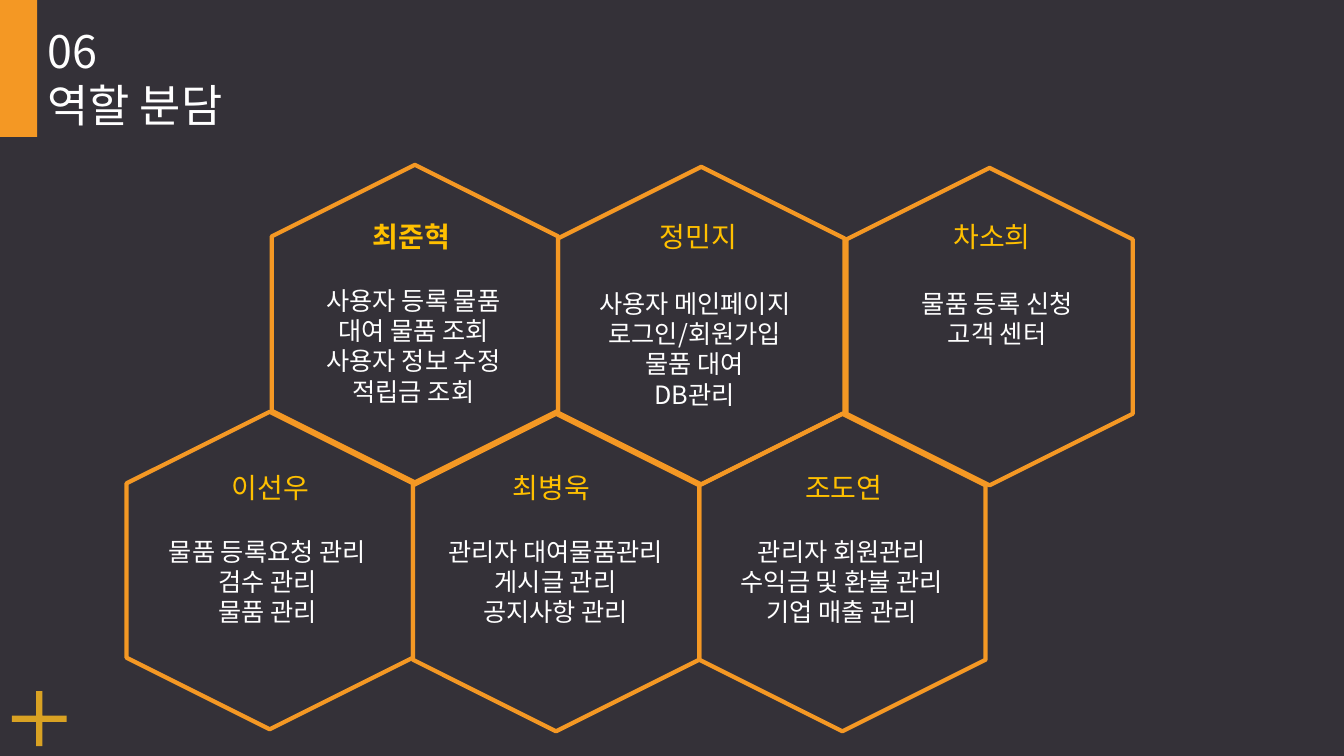
import dataclasses

import lxml.etree
import pptx
import pptx.dml.color
import pptx.enum.shapes
import pptx.enum.text
import pptx.oxml.ns
import pptx.shapes.autoshape
import pptx.slide
import pptx.util

EMU_PER_PX = 9144  # 100 px to the inch
FONT = "Noto Sans CJK KR"
COLORS = {
    "background": "343138",
    "orange": "F49824",
    "gold": "D9A223",
    "name": "FFC000",
    "white": "FFFFFF",
}
SHAPES = pptx.enum.shapes.MSO_SHAPE
ALIGN = pptx.enum.text.PP_ALIGN
LINE_HEIGHT = 1.2
HEXAGON_WIDTH, HEXAGON_HEIGHT = 315, 284
NAME_WIDTH, NAME_HEIGHT = 146, 44
TASKS_WIDTH = 262


@dataclasses.dataclass(frozen=True)
class Box:
    left: int
    top: int
    width: int
    height: int

    def emu(self) -> list[int]:
        return [px * EMU_PER_PX for px in dataclasses.astuple(self)]


@dataclasses.dataclass(frozen=True)
class Member:
    name: str
    tasks: tuple[str, ...]
    hexagon: tuple[int, int]
    name_at: tuple[int, int]
    tasks_at: tuple[int, int]
    bold: bool = False


MEMBERS = (
    Member("최준혁", ("사용자 등록 물품", "대여 물품 조회", "사용자 정보 수정", "적립금 조회"),
           (254, 179), (335, 213), (279, 278), bold=True),
    Member("정민지", ("사용자 메인페이지", "로그인/회원가입", "물품 대여", "DB관리"),
           (538, 181), (620, 213), (558, 281)),
    Member("차소희", ("물품 등록 신청", "고객 센터"),
           (824, 182), (911, 213), (858, 281)),
    Member("이선우", ("물품 등록요청 관리", "검수 관리", "물품 관리"),
           (110, 424), (195, 462), (134, 527)),
    Member("최병욱", ("관리자 대여물품관리", "게시글 관리", "공지사항 관리"),
           (394, 426), (474, 462), (420, 527)),
    Member("조도연", ("관리자 회원관리", "수익금 및 환불 관리", "기업 매출 관리"),
           (678, 426), (764, 462), (704, 527)),
)


def rgb(color: str) -> pptx.dml.color.RGBColor:
    return pptx.dml.color.RGBColor.from_string(COLORS[color])


def write_text(shape: pptx.shapes.autoshape.Shape, text: str, size: int,
               color: str, align: ALIGN, bold: bool = False) -> None:
    frame = shape.text_frame
    frame.text = text
    frame.word_wrap = True
    frame.auto_size = pptx.enum.text.MSO_AUTO_SIZE.NONE
    frame.vertical_anchor = pptx.enum.text.MSO_ANCHOR.TOP
    for paragraph in frame.paragraphs:
        paragraph.alignment = align
        paragraph.line_spacing = pptx.util.Pt(size * LINE_HEIGHT)
        for run in paragraph.runs:
            run.font.size = pptx.util.Pt(size)
            run.font.bold = bold
            run.font.color.rgb = rgb(color)
            run.font.name = FONT
            east_asian = lxml.etree.SubElement(
                run._r.get_or_add_rPr(), pptx.oxml.ns.qn("a:ea"))
            east_asian.set("typeface", FONT)


def add_text(slide: pptx.slide.Slide, box: Box, text: str, size: int,
             color: str, align: ALIGN, bold: bool = False) -> None:
    shape = slide.shapes.add_textbox(*box.emu())
    write_text(shape, text, size, color, align, bold)


def add_filled(slide: pptx.slide.Slide, kind: SHAPES, box: Box,
               color: str) -> pptx.shapes.autoshape.Shape:
    shape = slide.shapes.add_shape(kind, *box.emu())
    shape.shadow.inherit = False
    shape.fill.solid()
    shape.fill.fore_color.rgb = rgb(color)
    shape.line.fill.background()
    return shape


def add_hexagon(slide: pptx.slide.Slide, left: int, top: int) -> None:
    box = Box(left, top, HEXAGON_WIDTH, HEXAGON_HEIGHT)
    hexagon = slide.shapes.add_shape(SHAPES.HEXAGON, *box.emu())
    hexagon.rotation = 90
    hexagon.shadow.inherit = False
    hexagon.fill.background()
    hexagon.line.color.rgb = rgb("orange")
    hexagon.line.width = pptx.util.Pt(3)


def add_member(slide: pptx.slide.Slide, member: Member) -> None:
    add_hexagon(slide, *member.hexagon)
    add_text(slide, Box(*member.name_at, NAME_WIDTH, NAME_HEIGHT),
             member.name, 20, "name", ALIGN.CENTER, member.bold)
    tasks_height = 10 + 30 * len(member.tasks)
    add_text(slide, Box(*member.tasks_at, TASKS_WIDTH, tasks_height),
             "\n".join(member.tasks), 18, "white", ALIGN.CENTER)


def add_heading(slide: pptx.slide.Slide) -> None:
    add_filled(slide, SHAPES.RECTANGLE, Box(0, 0, 37, 136), "orange")
    title = slide.shapes.title
    title.left, title.top, title.width, title.height = Box(37, 72, 359, 64).emu()
    write_text(title, "역할 분담", 32, "white", ALIGN.LEFT)
    add_text(slide, Box(37, 19, 78, 64), "06", 32, "white", ALIGN.LEFT)


def main() -> None:
    presentation = pptx.Presentation()
    presentation.slide_width = 1333 * EMU_PER_PX
    presentation.slide_height = 750 * EMU_PER_PX
    title_only = presentation.slide_layouts.get_by_name("Title Only")
    slide = presentation.slides.add_slide(title_only)
    slide.background.fill.solid()
    slide.background.fill.fore_color.rgb = rgb("background")

    add_heading(slide)
    plus = add_filled(slide, SHAPES.MATH_PLUS, Box(2, 676, 74, 74), "gold")
    plus.adjustments[0] = 0.083
    for member in MEMBERS:
        add_member(slide, member)
    presentation.save("out.pptx")


if __name__ == "__main__":
    main()
